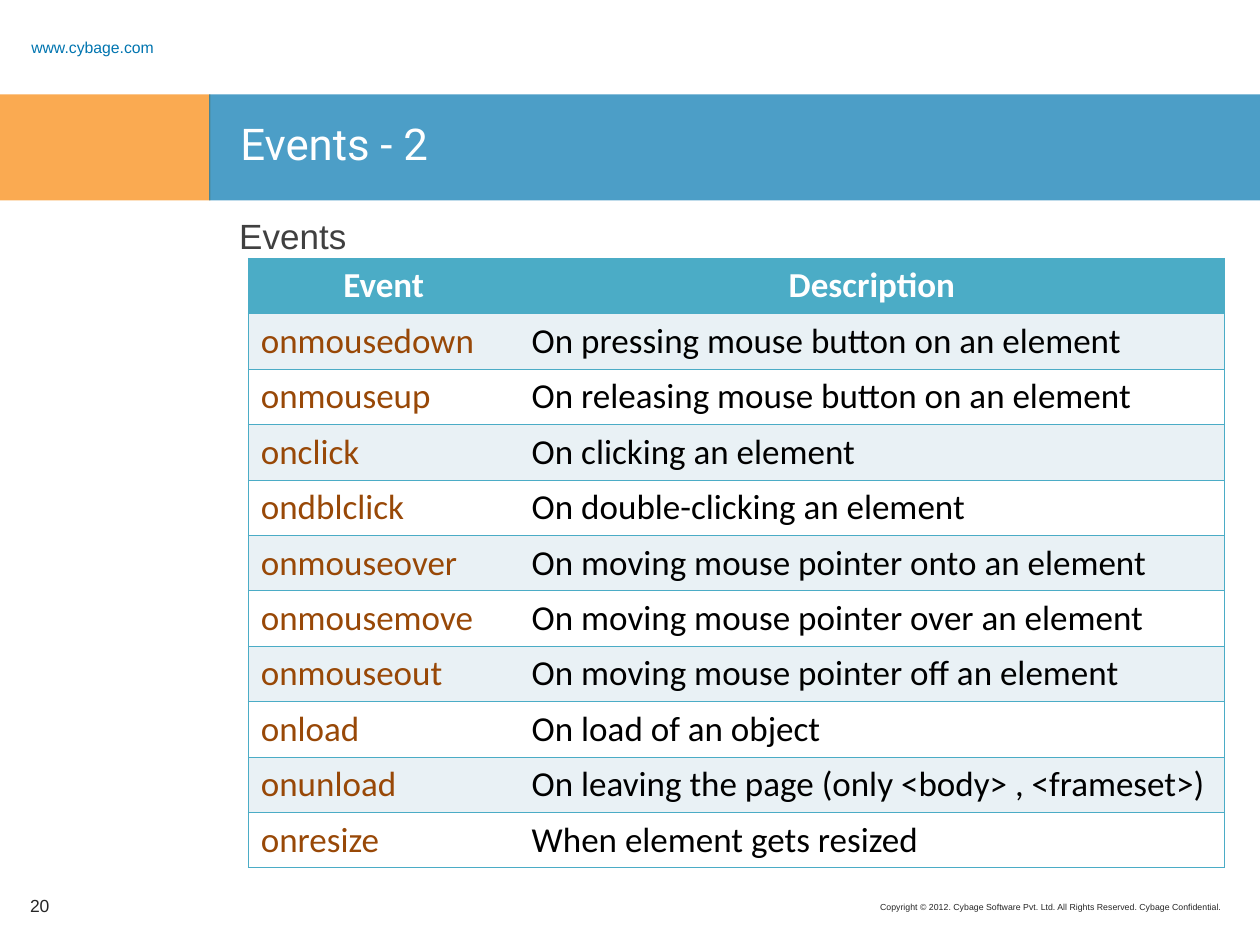
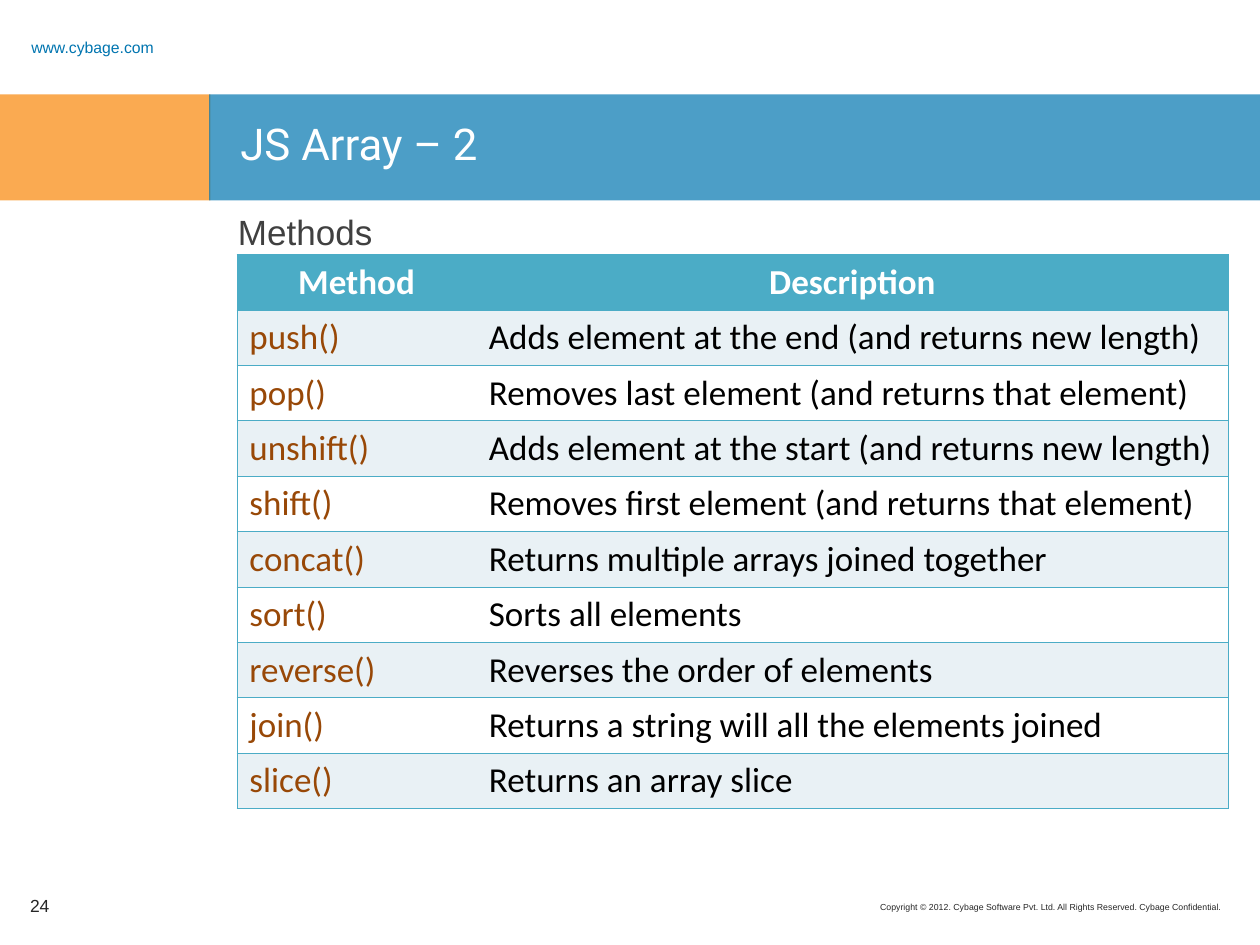
from pptx import Presentation
from pptx.dml.color import RGBColor
from pptx.enum.shapes import MSO_SHAPE
from pptx.enum.text import MSO_ANCHOR as ANCHOR, PP_ALIGN as ALIGN
from pptx.oxml.ns import qn
from pptx.util import Inches, Pt
from lxml.etree import SubElement

WHITE = RGBColor(0xFF, 0xFF, 0xFF)
BLACK = RGBColor(0x00, 0x00, 0x00)
ORANGE = RGBColor(0xF8, 0x86, 0x08)
BLUE = RGBColor(0x00, 0x75, 0xB0)
TEAL = RGBColor(0x4B, 0xAC, 0xC6)
PALE = RGBColor(0xE9, 0xF1, 0xF5)
BROWN = RGBColor(0x98, 0x48, 0x07)
DARK = RGBColor(0x26, 0x26, 0x26)
GREY = RGBColor(0x40, 0x40, 0x40)

BAND_OPACITY = 70
ROW_HEIGHT = 0.44
BORDER_WIDTH = Pt(0.45)
COPYRIGHT = "Copyright © 2012. Cybage Software Pvt. Ltd. All Rights Reserved. Cybage Confidential."

EVENTS = [
    ("Event", "Description"),
    ("onmousedown", "On pressing mouse button on an element"),
    ("onmouseup", "On releasing mouse button on an element"),
    ("onclick", "On clicking an element"),
    ("ondblclick", "On double-clicking an element"),
    ("onmouseover", "On moving mouse pointer onto an element"),
    ("onmousemove", "On moving mouse pointer over an element"),
    ("onmouseout", "On moving mouse pointer off an element"),
    ("onload", "On load of an object"),
    ("onunload", "On leaving the page (only <body> , <frameset>)"),
    ("onresize", "When element gets resized"),
]
METHODS = [
    ("Method", "Description"),
    ("push()", "Adds element at the end (and returns new length)"),
    ("pop()", "Removes last element (and returns that element)"),
    ("unshift()", "Adds element at the start (and returns new length)"),
    ("shift()", "Removes first element (and returns that element)"),
    ("concat()", "Returns multiple arrays joined together"),
    ("sort()", "Sorts all elements"),
    ("reverse()", "Reverses the order of elements"),
    ("join()", "Returns a string will all the elements joined"),
    ("slice()", "Returns an array slice"),
]


def write(frame, text, size, color, font="Arial", bold=False,
          align=ALIGN.LEFT, spacing=None):
    """Fill a text frame with one formatted paragraph."""
    paragraph = frame.paragraphs[0]
    paragraph.text = text
    paragraph.alignment = align
    if spacing:
        paragraph.line_spacing = spacing
    style = paragraph.font
    style.name, style.size, style.bold = font, Pt(size), bold
    style.color.rgb = color


def add_text(slide, box, text, size, color, anchor=ANCHOR.TOP, **style):
    frame = slide.shapes.add_textbox(*map(Inches, box)).text_frame
    frame.word_wrap = True
    frame.vertical_anchor = anchor
    write(frame, text, size, color, **style)


def add_band(slide, box, color):
    band = slide.shapes.add_shape(MSO_SHAPE.RECTANGLE, *map(Inches, box))
    band.shadow.inherit = False
    band.line.fill.background()
    band.fill.solid()
    band.fill.fore_color.rgb = color
    tint = band.fill._xPr.find(".//" + qn("a:srgbClr"))
    SubElement(tint, qn("a:alpha"), val=str(BAND_OPACITY * 1000))


def set_borders(cell, visible_sides):
    """Draw the visible sides in teal and clear the others."""
    properties = cell._tc.get_or_add_tcPr()
    for side in "LRTB":
        line = SubElement(properties, qn(f"a:ln{side}"), w=str(BORDER_WIDTH))
        if side in visible_sides:
            fill = SubElement(line, qn("a:solidFill"))
            SubElement(fill, qn("a:srgbClr"), val=str(TEAL))
        else:
            SubElement(line, qn("a:noFill"))


def add_reference_table(slide, left, top, widths, entries):
    table = slide.shapes.add_table(
        len(entries), len(widths), Inches(left), Inches(top),
        Inches(sum(widths)), Inches(ROW_HEIGHT * len(entries))).table
    table.horz_banding = False
    for column, width in zip(table.columns, widths):
        column.width = Inches(width)
    for r, entry in enumerate(entries):
        table.rows[r].height = Inches(ROW_HEIGHT)
        header = r == 0
        fill = TEAL if header else PALE if r % 2 else WHITE
        for c, text in enumerate(entry):
            cell = table.cell(r, c)
            set_borders(cell, "TB" + "LR"[c])
            cell.fill.solid()
            cell.fill.fore_color.rgb = fill
            write(cell.text_frame, text, 20,
                  WHITE if header else (BROWN, BLACK)[c], font="Calibri",
                  bold=header, align=ALIGN.CENTER if header else ALIGN.LEFT)


def add_frame(slide, title, number):
    """Web address, title bands and footer shared by the slides."""
    add_text(slide, (6.24, 7.11, 3.56, 0.2), COPYRIGHT, 5, DARK, align=ALIGN.RIGHT)
    add_text(slide, (0.15, 0.24, 1.5, 0.19), "www.cybage.com", 9, BLUE,
             anchor=ANCHOR.MIDDLE, spacing=1.5)
    add_band(slide, (0, 0.75, 1.67, 0.84), ORANGE)
    add_band(slide, (1.66, 0.75, 8.34, 0.84), BLUE)
    add_text(slide, (1.81, 0.88, 7.94, 0.62), title, 25, WHITE, font="Roboto")
    add_text(slide, (0.14, 6.99, 0.54, 0.4), str(number), 10, DARK,
             anchor=ANCHOR.MIDDLE)


def add_reference_slide(deck, title, number, heading, heading_at, table_at,
                        widths, entries):
    slide = deck.slides.add_slide(deck.slide_layouts[6])
    add_frame(slide, title, number)
    add_text(slide, (*heading_at, 7.95, 0.42), heading, 20, GREY)
    add_reference_table(slide, *table_at, widths, entries)


def main():
    deck = Presentation()
    deck.slide_width, deck.slide_height = Inches(10), Inches(7.5)
    add_reference_slide(deck, "Events - 2", 20, "Events", (1.8, 1.65),
                        (1.97, 2.05), (2.15, 5.6), EVENTS)
    add_reference_slide(deck, "JS Array – 2", 24, "Methods", (1.79, 1.62),
                        (1.88, 2.02), (1.9, 5.97), METHODS)
    deck.save("out.pptx")


if __name__ == "__main__":
    main()
